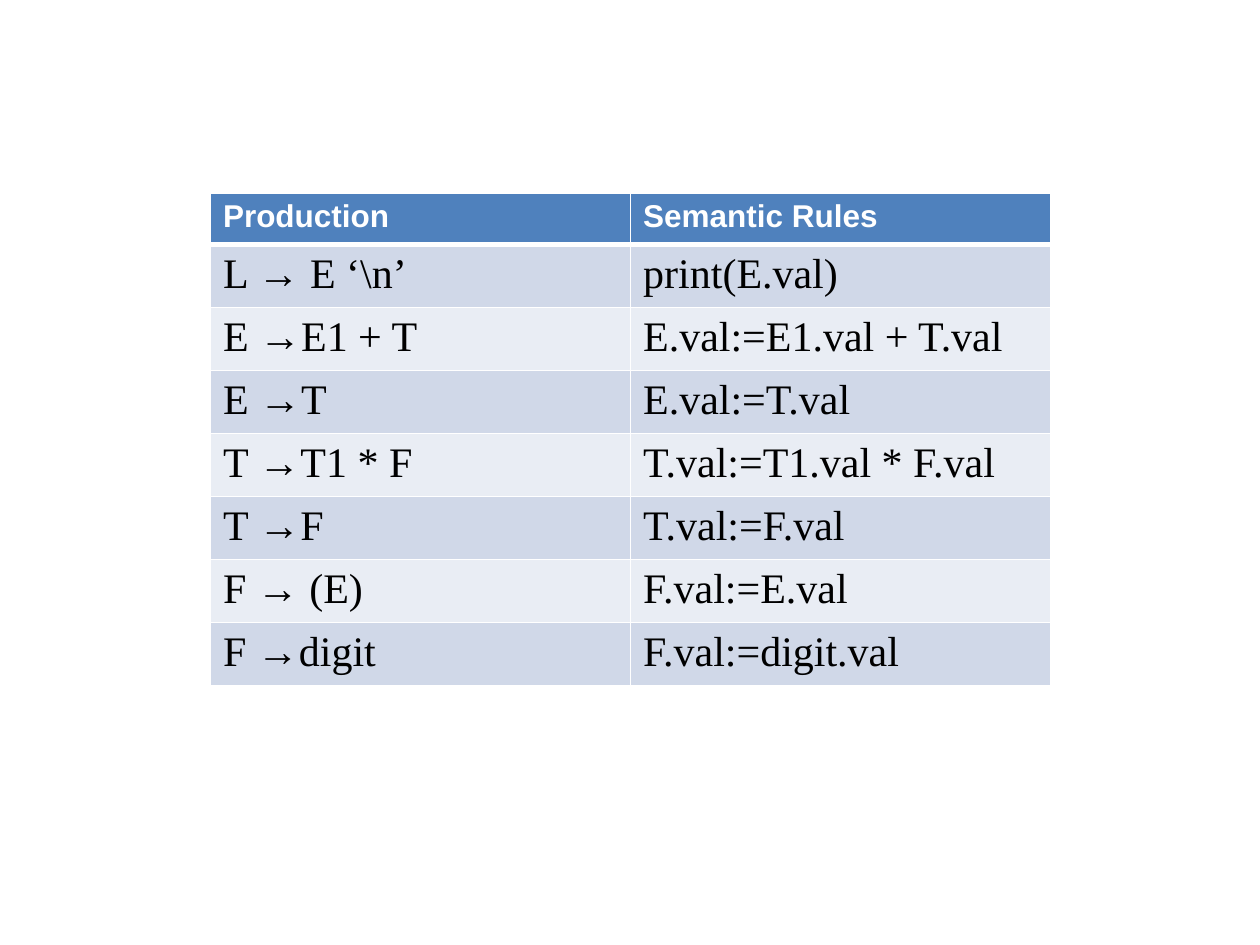
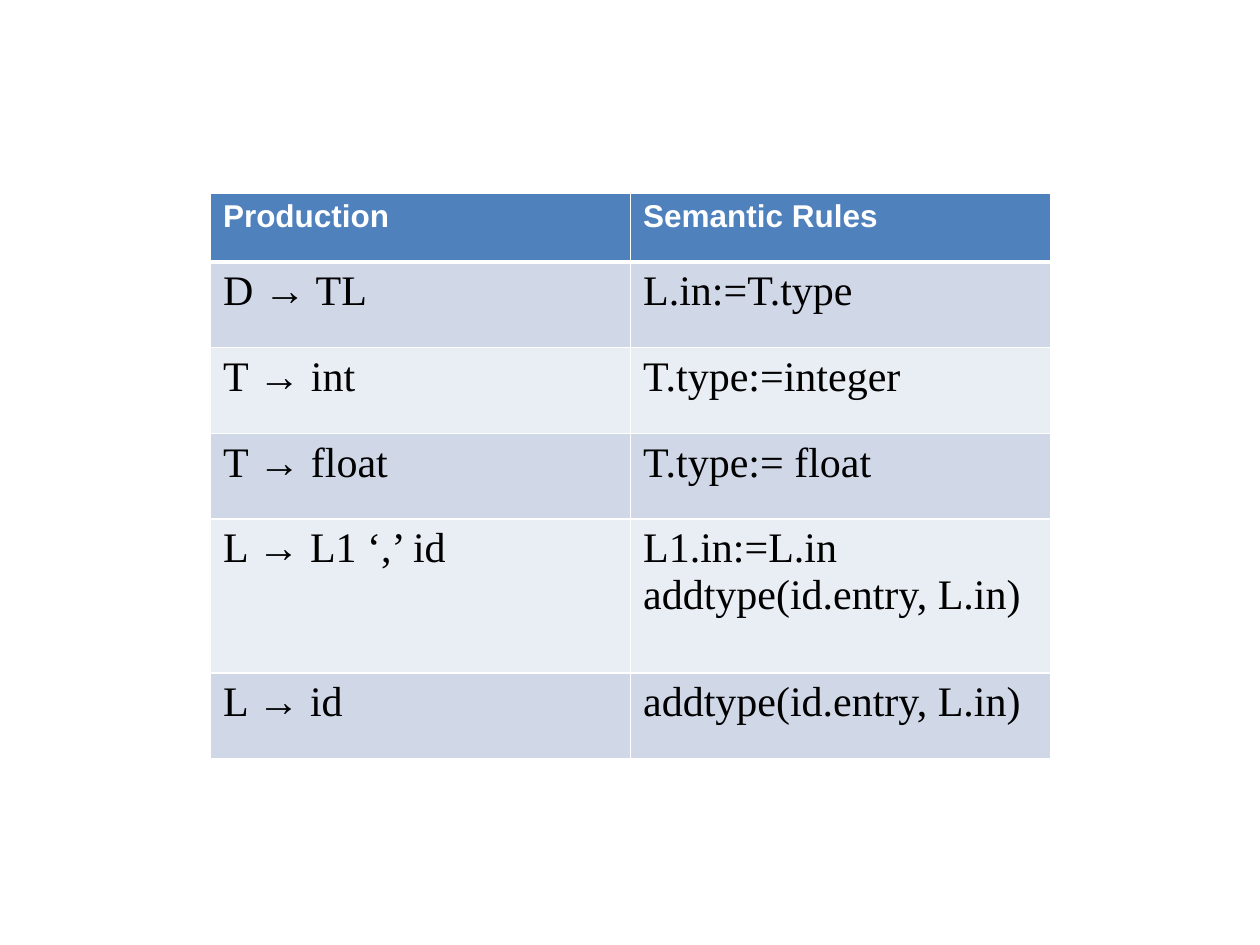
from dataclasses import dataclass

from lxml.etree import SubElement
from pptx import Presentation
from pptx.dml.color import RGBColor
from pptx.oxml.ns import qn
from pptx.presentation import Presentation as PresentationType
from pptx.table import _Cell
from pptx.util import Inches, Pt

WHITE = "FFFFFF"
BLACK = "000000"
HEADER_FILL = "4F81BD"
BAND_FILLS = ("D0D8E8", "E9EDF4")
HEADINGS = ("Production", "Semantic Rules")
TABLE_LEFT, TABLE_TOP, TABLE_WIDTH = 1.67, 1.53, 6.67
THIN_BORDER, THICK_BORDER = 1, 3


@dataclass(frozen=True)
class TextStyle:
    font: str
    size: int
    color: str
    bold: bool


@dataclass(frozen=True)
class Rule:
    production: str
    actions: tuple[str, ...]
    height: float


@dataclass(frozen=True)
class Grammar:
    header_height: float
    rules: tuple[Rule, ...]


HEADER_STYLE = TextStyle("Arial", 18, WHITE, True)
BODY_STYLE = TextStyle("Times New Roman", 24, BLACK, False)

CALCULATOR_ROW = 0.5
DECLARATION_ROW = 0.68

GRAMMARS = (
    Grammar(0.41, (
        Rule("L → E ‘\\n’", ("print(E.val)",), CALCULATOR_ROW),
        Rule("E →E1 + T", ("E.val:=E1.val + T.val",), CALCULATOR_ROW),
        Rule("E →T", ("E.val:=T.val",), CALCULATOR_ROW),
        Rule("T →T1 * F", ("T.val:=T1.val * F.val",), CALCULATOR_ROW),
        Rule("T →F", ("T.val:=F.val",), CALCULATOR_ROW),
        Rule("F → (E)", ("F.val:=E.val",), CALCULATOR_ROW),
        Rule("F →digit", ("F.val:=digit.val",), CALCULATOR_ROW),
    )),
    Grammar(0.55, (
        Rule("D → TL", ("L.in:=T.type",), DECLARATION_ROW),
        Rule("T → int", ("T.type:=integer",), DECLARATION_ROW),
        Rule("T → float", ("T.type:= float",), DECLARATION_ROW),
        Rule("L → L1 ‘,’ id", ("L1.in:=L.in", "addtype(id.entry, L.in)"), 1.22),
        Rule("L → id", ("addtype(id.entry, L.in)",), DECLARATION_ROW),
    )),
)


def rgb(color: str) -> RGBColor:
    return RGBColor.from_string(color)


def set_borders(cell: _Cell, top: int, bottom: int) -> None:
    properties = cell._tc.get_or_add_tcPr()
    widths = {"lnL": THIN_BORDER, "lnR": THIN_BORDER, "lnT": top, "lnB": bottom}
    for side, width in widths.items():
        line = SubElement(properties, qn(f"a:{side}"), w=str(Pt(width)))
        fill = SubElement(line, qn("a:solidFill"))
        SubElement(fill, qn("a:srgbClr"), val=WHITE)


def write_cell(cell: _Cell, lines: tuple[str, ...], style: TextStyle, fill: str) -> None:
    cell.fill.solid()
    cell.fill.fore_color.rgb = rgb(fill)
    frame = cell.text_frame
    for index, line in enumerate(lines):
        paragraph = frame.add_paragraph() if index else frame.paragraphs[0]
        run = paragraph.add_run()
        run.text = line
        run.font.name = style.font
        run.font.size = Pt(style.size)
        run.font.bold = style.bold
        run.font.color.rgb = rgb(style.color)


def add_grammar_slide(presentation: PresentationType, grammar: Grammar) -> None:
    slide = presentation.slides.add_slide(presentation.slide_layouts[6])
    heights = [grammar.header_height] + [rule.height for rule in grammar.rules]
    shape = slide.shapes.add_table(
        len(heights), len(HEADINGS),
        Inches(TABLE_LEFT), Inches(TABLE_TOP),
        Inches(TABLE_WIDTH), Inches(sum(heights)),
    )
    table = shape.table
    contents = [tuple((heading,) for heading in HEADINGS)]
    contents += [((rule.production,), rule.actions) for rule in grammar.rules]
    for row_index, (height, row_contents) in enumerate(zip(heights, contents)):
        table.rows[row_index].height = Inches(height)
        is_header = row_index == 0
        style = HEADER_STYLE if is_header else BODY_STYLE
        fill = HEADER_FILL if is_header else BAND_FILLS[(row_index - 1) % 2]
        top = THICK_BORDER if row_index == 1 else THIN_BORDER
        bottom = THICK_BORDER if is_header else THIN_BORDER
        for column_index, lines in enumerate(row_contents):
            cell = table.cell(row_index, column_index)
            set_borders(cell, top, bottom)
            write_cell(cell, lines, style, fill)


def main() -> None:
    presentation = Presentation()
    presentation.slide_width = Inches(10)
    presentation.slide_height = Inches(7.5)
    for grammar in GRAMMARS:
        add_grammar_slide(presentation, grammar)
    presentation.save("out.pptx")


main()
